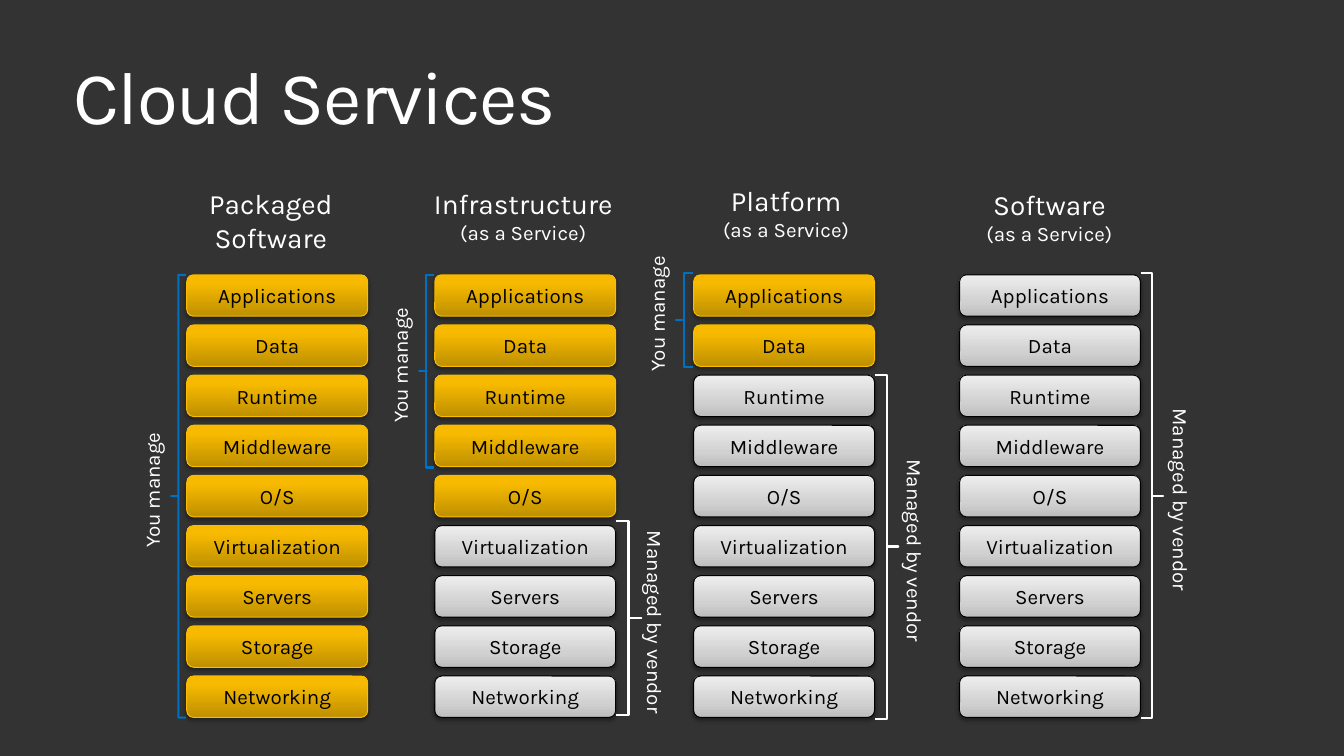
"""Build a slide comparing who manages each layer in four cloud service models."""
from dataclasses import dataclass

from lxml.etree import SubElement
from pptx import Presentation
from pptx.dml.color import RGBColor
from pptx.enum.shapes import MSO_SHAPE
from pptx.enum.text import MSO_ANCHOR, MSO_AUTO_SIZE, PP_ALIGN
from pptx.oxml import parse_xml
from pptx.oxml.ns import nsdecls, qn
from pptx.shapes.autoshape import Shape
from pptx.slide import Slide
from pptx.util import Pt

COLORS = {"page": "333333", "white": "FFFFFF", "black": "000000", "blue": "0070C0", "gold": "F9BC00"}
LAYERS = ["Applications", "Data", "Runtime", "Middleware", "O/S",
          "Virtualization", "Servers", "Storage", "Networking"]
TILE_TOP, TILE_PITCH, TILE_WIDTH, TILE_HEIGHT = 200.2, 36.54, 131.8, 30.2
PANEL_HEIGHT = 397.4
LABEL_WIDTH = 32.4


@dataclass
class TileStyle:
    stops: list[tuple[int, str]]
    line: str
    shadow_opacity: int
    shadow_distance: float


@dataclass
class Owner:
    label: str
    color: str
    direction: str
    flipped: bool
    label_shift: float
    label_length: float


@dataclass
class Bracket:
    owner: Owner
    left: float
    top: float
    width: float
    height: float


@dataclass
class Service:
    heading: list[str]
    panel_left: float
    panel_top: float
    panel_width: float
    tile_left: float
    own_count: int
    brackets: list[Bracket]


GOLD = TileStyle([(0, "BE8F00"), (80, "F7BA00"), (100, "F8BB00")], "gold", 35, 1.8)
GREY = TileStyle([(0, "BDBDBD"), (35, "D1D1D1"), (100, "EEEEEE")], "black", 38, 1.6)
YOU = Owner("You manage", "blue", "vert270", False, -26.6, 89.3)
VENDOR = Owner("Managed by vendor", "white", "eaVert", True, 9, 141.1)

SERVICES = [
    Service(["Packaged Software"], 122.4, 125.3, 149.8, 136.1, 9,
            [Bracket(YOU, 124.6, 200.2, 10.8, 322.6)]),
    Service(["Infrastructure", "(as a Service)"], 277.2, 122.4, 208.1, 316.8, 5,
            [Bracket(VENDOR, 448.6, 379.4, 18.7, 141.8), Bracket(YOU, 305.3, 200.2, 10.8, 140.4)]),
    Service(["Platform", "(as a Service)"], 492.5, 122.4, 160.6, 505.4, 2,
            [Bracket(VENDOR, 637.9, 272.9, 16.6, 250.6), Bracket(YOU, 492.5, 198.7, 12.2, 68.4)]),
    Service(["Software", "(as a Service)"], 683.3, 125.3, 162.7, 699.1, 0,
            [Bracket(VENDOR, 831.6, 198.7, 15.8, 324.7)]),
]


def write(box: Shape, lines: list[tuple[str, float]], color: str, align: PP_ALIGN, **frame_format) -> None:
    """Fill a box with one paragraph per line of text and size."""
    frame = box.text_frame
    for name, value in frame_format.items():
        setattr(frame, name, value)
    for index, (text, size) in enumerate(lines):
        para = frame.paragraphs[0] if index == 0 else frame.add_paragraph()
        para.alignment = align
        span = para.add_run()
        span.text = text
        for name, value in {"name": "Karla", "size": Pt(size)}.items():
            setattr(span.font, name, value)
        span.font.color.rgb = RGBColor.from_string(COLORS[color])


def add_box(page: Slide, kind: MSO_SHAPE, left: float, top: float, width: float, height: float) -> Shape:
    """Add a preset shape with no fill and no shadow."""
    box = page.shapes.add_shape(kind, Pt(left), Pt(top), Pt(width), Pt(height))
    box.shadow.inherit = False
    box.fill.background()
    return box


def outline(box: Shape, color: str, width: float) -> None:
    """Give a shape a solid outline."""
    box.line.color.rgb = RGBColor.from_string(COLORS[color])
    box.line.width = Pt(width)


def add_tile(page: Slide, text: str, left: float, top: float, style: TileStyle) -> None:
    """Add one layer tile with an upward gradient and a soft shadow."""
    box = add_box(page, MSO_SHAPE.ROUNDED_RECTANGLE, left, top, TILE_WIDTH, TILE_HEIGHT)
    outline(box, style.line, 0.75)
    properties = box.element.spPr
    stops = "".join(f'<a:gs pos="{place * 1000}"><a:srgbClr val="{color}"/></a:gs>'
                    for place, color in style.stops)
    gradient = parse_xml(f'<a:gradFill {nsdecls("a")} rotWithShape="1"><a:gsLst>{stops}</a:gsLst>'
                         '<a:lin ang="16200000" scaled="0"/></a:gradFill>')
    properties.replace(properties.find(qn("a:noFill")), gradient)
    shadow = SubElement(properties.find(qn("a:effectLst")), qn("a:outerShdw"),
                        blurRad=str(Pt(3.1)), dist=str(Pt(style.shadow_distance)),
                        dir="5400000", rotWithShape="0")
    tint = SubElement(shadow, qn("a:srgbClr"), val=COLORS["black"])
    SubElement(tint, qn("a:alpha"), val=str(style.shadow_opacity * 1000))
    write(box, [(text, 15)], "black", PP_ALIGN.CENTER, margin_left=0, margin_right=0,
          vertical_anchor=MSO_ANCHOR.MIDDLE, word_wrap=True)


def add_bracket(page: Slide, bracket: Bracket) -> None:
    """Add a square bracket with its rotated label centred beside it."""
    owner = bracket.owner
    brace = add_box(page, MSO_SHAPE.LEFT_BRACE, bracket.left, bracket.top, bracket.width, bracket.height)
    brace.adjustments[0] = 0
    brace.adjustments[1] = 0.5
    outline(brace, owner.color, 1.5)
    if owner.flipped:
        brace.element.spPr.xfrm.set("flipH", "1")
    label_top = bracket.top + (bracket.height - owner.label_length) / 2
    label = page.shapes.add_textbox(Pt(bracket.left + owner.label_shift), Pt(label_top),
                                    Pt(LABEL_WIDTH), Pt(owner.label_length))
    write(label, [(owner.label, 15)], "white", PP_ALIGN.LEFT,
          word_wrap=False, auto_size=MSO_AUTO_SIZE.SHAPE_TO_FIT_TEXT)
    label.text_frame._txBody.bodyPr.set("vert", owner.direction)


def add_service(page: Slide, service: Service) -> None:
    """Add one service column: heading, tiles and brackets."""
    panel = add_box(page, MSO_SHAPE.ROUNDED_RECTANGLE, service.panel_left, service.panel_top,
                    service.panel_width, PANEL_HEIGHT)
    panel.line.fill.background()
    write(panel, list(zip(service.heading, (20.4, 15))), "white", PP_ALIGN.CENTER, margin_left=0,
          margin_right=0, vertical_anchor=MSO_ANCHOR.TOP, word_wrap=True)
    for row, layer in enumerate(LAYERS):
        style = GOLD if row < service.own_count else GREY
        add_tile(page, layer, service.tile_left, TILE_TOP + row * TILE_PITCH, style)
    for bracket in service.brackets:
        add_bracket(page, bracket)


def add_title(page: Slide) -> None:
    """Add the slide title."""
    title = page.shapes.add_textbox(Pt(41.8), Pt(36.7), Pt(895.7), Pt(59))
    write(title, [("Cloud Services", 54.4)], "white", PP_ALIGN.LEFT, word_wrap=True,
          margin_left=Pt(11.5), margin_right=Pt(11.5), margin_top=Pt(7.2), margin_bottom=Pt(7.2))
    para = title.text_frame.paragraphs[0]
    para.line_spacing = 0.9
    para.runs[0].font._element.set("spc", "-100")


def main() -> None:
    """Build and save the deck."""
    deck = Presentation()
    deck.slide_width, deck.slide_height = Pt(979.2), Pt(550.8)
    page = deck.slides.add_slide(deck.slide_layouts[6])
    page.background.fill.solid()
    page.background.fill.fore_color.rgb = RGBColor.from_string(COLORS["page"])
    add_title(page)
    for service in SERVICES:
        add_service(page, service)
    deck.save("out.pptx")


if __name__ == "__main__":
    main()
